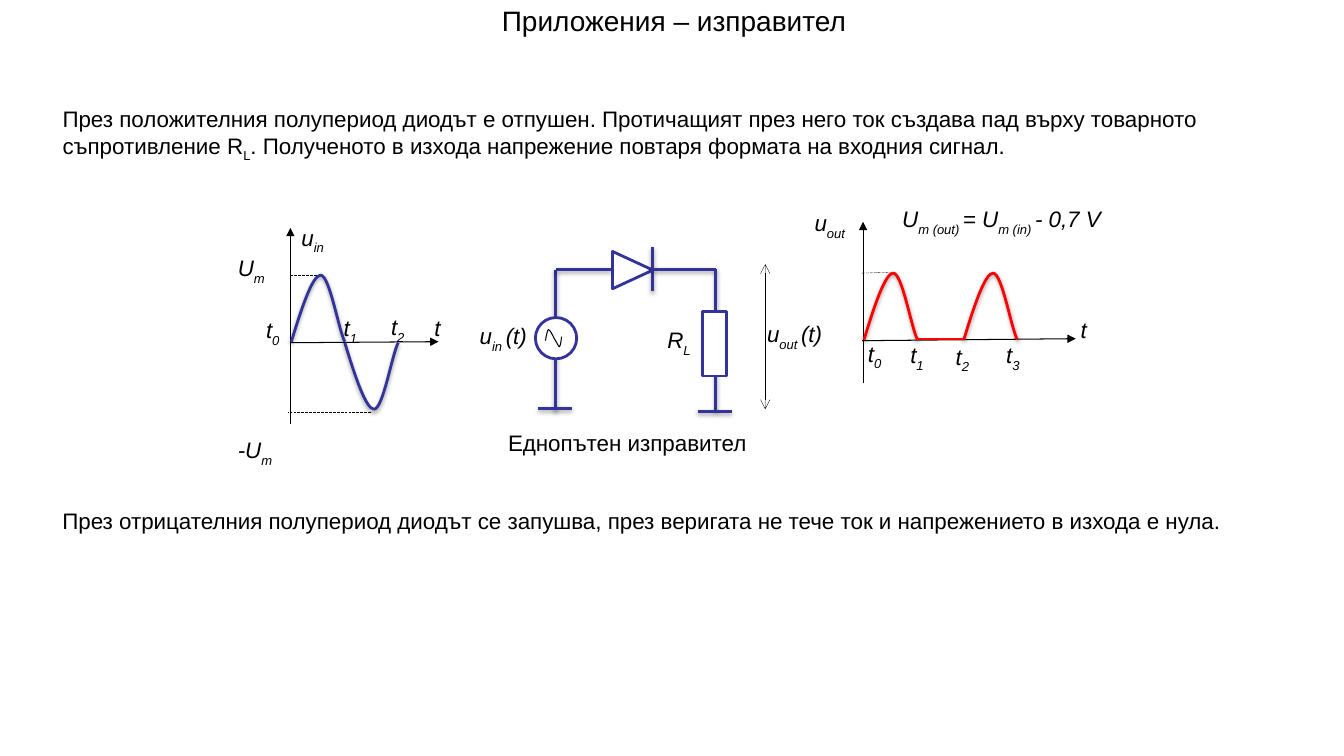
from lxml.etree import SubElement
from pptx import Presentation
from pptx.dml.color import RGBColor
from pptx.enum.dml import MSO_LINE
from pptx.enum.shapes import MSO_CONNECTOR, MSO_SHAPE
from pptx.enum.text import MSO_ANCHOR, MSO_AUTO_SIZE, PP_ALIGN
from pptx.oxml.ns import qn
from pptx.util import Inches, Pt

BLACK, WHITE, BLUE, RED = "000000", "FFFFFF", "333399", "FF0000"

# In every text, the parts between bars alternate: normal|subscript|normal ...
TITLE = "Приложения – изправител"
POSITIVE = ("През положителния полупериод диодът е отпушен. Протичащият през него ток "
            "създава пад върху товарното съпротивление R|L|. Полученото в изхода "
            "напрежение повтаря формата на входния сигнал.")
NEGATIVE = ("През отрицателния полупериод диодът се запушва, през веригата не тече ток "
            "и напрежението в изхода е нула.")
CAPTION = "Еднопътен изправител"

LABELS = [  # text, left, top, width, height
    ("U|m", 2.26, 2.47, 0.65, 0.51),
    ("-U|m", 2.26, 4.28, 0.65, 0.51),
    ("u|in", 2.89, 2.17, 0.72, 0.37),
    ("t", 4.21, 3.07, 0.41, 0.34),
    ("t|0", 2.54, 3.09, 0.65, 0.47),
    ("t|1", 3.31, 3.07, 0.67, 0.46),
    ("t|2", 3.78, 3.06, 0.71, 0.47),
    ("u|in |(t)", 4.66, 3.15, 0.77, 0.48),
    ("R|L", 6.52, 3.19, 0.9, 0.46),
    ("u|out |(t)", 7.51, 3.13, 0.86, 0.49),
    ("u|out", 7.98, 2.03, 0.72, 0.38),
    ("U|m (out) |= U|m (in) |- 0,7 V", 8.85, 1.99, 2.31, 0.38),
    ("t", 10.62, 3.09, 0.41, 0.34),
    ("t|0", 8.51, 3.32, 0.57, 0.42),
    ("t|1", 8.93, 3.34, 0.66, 0.46),
    ("t|2", 9.38, 3.35, 0.61, 0.39),
    ("t|3", 9.88, 3.34, 0.71, 0.4),
]

WIRES = [  # x1, y1, x2, y2
    (6.47, 2.45, 6.47, 2.89),  # diode bar
    (6.48, 2.67, 7.1, 2.67),
    (7.1, 2.67, 7.1, 4.07),
    (5.51, 4.07, 5.51, 2.68),
    (5.51, 2.67, 6.06, 2.67),
    (5.34, 4.05, 5.67, 4.05),  # grounds
    (6.92, 4.08, 7.26, 4.08),
]
AXES = [
    (2.88, 4.21, 2.88, 2.26),
    (2.88, 3.4, 4.35, 3.39),
    (8.56, 3.8, 8.56, 2.2),
    (8.55, 3.38, 10.67, 3.36),
]
PEAK_MARKS = [
    (3.18, 2.73, 2.87, 2.73),
    (3.68, 4.09, 2.86, 4.09),
    (8.85, 2.7, 8.54, 2.71),
]
HALF_WAVES = [  # start x, start y, direction, colour
    (2.89, 3.39, -1, BLUE),
    (3.42, 3.4, 1, BLUE),
    (8.57, 3.37, -1, RED),
    (9.56, 3.37, -1, RED),
]
# Bezier control points, relative to the start of the curve
HALF_WAVE = [(0, 0), (0.1, 0.33), (0.21, 0.66), (0.29, 0.66),
             (0.38, 0.66), (0.47, 0.11), (0.53, 0)]
SOURCE_WAVE = [(0, 0), (0.01, -0.05), (0.02, -0.11), (0.03, -0.11),
               (0.05, -0.11), (0.08, -0.03), (0.1, 0),
               (0.12, 0.03), (0.13, 0.06), (0.14, 0.06),
               (0.15, 0.05), (0.16, -0.02), (0.16, -0.04)]


def color(value):
    return RGBColor.from_string(value)


def place(shape, *box):
    shape.left, shape.top, shape.width, shape.height = map(Inches, box)


def write(shape, text, size=16, italic=False):
    frame = shape.text_frame
    frame.word_wrap = True
    frame.auto_size = MSO_AUTO_SIZE.NONE
    frame.vertical_anchor = MSO_ANCHOR.TOP
    para = frame.paragraphs[0]
    para.space_before = Pt(0)
    font = para.font
    font.name, font.size, font.italic = "Arial", Pt(size), italic
    font.color.rgb = color(BLACK)
    for index, part in enumerate(text.split("|")):
        span = para.add_run()
        span.text = part
        if index % 2:
            span._r.get_or_add_rPr().set("baseline", "-30000")
    return para


def set_effects(shape, shadow):
    """Give the shape a soft shadow below it, or none at all."""
    effects = SubElement(shape._element.spPr, qn("a:effectLst"))
    if shadow:
        outer = SubElement(effects, qn("a:outerShdw"), blurRad=str(Pt(3.1)),
                           dist=str(Pt(1.6)), dir="5400000", rotWithShape="0")
        black = SubElement(outer, qn("a:srgbClr"), val=BLACK)
        SubElement(black, qn("a:alpha"), val="38000")


def draw_line(page, ends, stroke, width, shadow=False, head=None, tail=None, dash=None):
    link = page.shapes.add_connector(MSO_CONNECTOR.STRAIGHT, *map(Inches, ends))
    link.line.color.rgb = color(stroke)
    link.line.width = Pt(width)
    if dash:
        link.line.dash_style = dash
    for tag, kind in (("a:headEnd", head), ("a:tailEnd", tail)):
        if kind:
            SubElement(link.line._get_or_add_ln(), qn(tag), type=kind)
    set_effects(link, shadow)


def draw_part(page, kind, *box):
    part = page.shapes.add_shape(kind, *map(Inches, box))
    part.fill.solid()
    part.fill.fore_color.rgb = color(WHITE)
    part.line.color.rgb = color(BLUE)
    part.line.width = Pt(2)
    part.shadow.inherit = False
    return part


def bend(outline):
    """Turn each three straight segments of a freeform into one Bezier segment."""
    segments = list(outline._element.iter(qn("a:lnTo")))
    for first in range(0, len(segments), 3):
        trio = segments[first:first + 3]
        drawing = trio[0].getparent()
        cubic = SubElement(drawing, qn("a:cubicBezTo"))
        for segment in trio:
            cubic.append(segment[0])
            drawing.remove(segment)


def draw_curve(page, controls, x, y, direction, stroke, width, shadow):
    points = [(Inches(x + dx), Inches(y + direction * dy)) for dx, dy in controls]
    builder = page.shapes.build_freeform(*points[0])
    builder.add_line_segments(points[1:], close=False)
    curve = builder.convert_to_shape()
    bend(curve)
    curve.fill.background()
    curve.line.color.rgb = color(stroke)
    curve.line.width = Pt(width)
    set_effects(curve, shadow)


def main():
    deck = Presentation()
    deck.slide_width, deck.slide_height = Inches(13.33), Inches(7.5)
    page = deck.slides.add_slide(deck.slide_layouts[1])

    title, body = page.placeholders
    place(title, 0.09, -0.02, 13.19, 0.46)
    write(title, TITLE, size=20).alignment = PP_ALIGN.CENTER

    place(body, 0.52, 0.99, 12.28, 0.64)
    properties = write(body, POSITIVE)._p.get_or_add_pPr()
    properties.set("marL", "0")
    properties.set("indent", "0")
    no_bullet = SubElement(properties, qn("a:buNone"))
    properties.find(qn("a:defRPr")).addprevious(no_bullet)

    diode = draw_part(page, MSO_SHAPE.ISOSCELES_TRIANGLE, 6.09, 2.48, 0.37, 0.4)
    diode.rotation = 90
    for wire in WIRES:
        draw_line(page, wire, BLUE, 2, shadow=True)
    draw_part(page, MSO_SHAPE.RECTANGLE, 6.97, 3.09, 0.24, 0.64)
    draw_part(page, MSO_SHAPE.OVAL, 5.31, 3.15, 0.41, 0.41)
    draw_curve(page, SOURCE_WAVE, 5.41, 3.38, 1, BLACK, 0.75, shadow=False)
    draw_line(page, (7.59, 2.62, 7.59, 4.06), BLACK, 0.25, head="arrow", tail="arrow")

    for axis in AXES:
        draw_line(page, axis, BLACK, 0.75, tail="triangle")
    for mark in PEAK_MARKS:
        draw_line(page, mark, BLACK, 0.25, dash=MSO_LINE.LONG_DASH)
    for x, y, direction, stroke in HALF_WAVES:
        draw_curve(page, HALF_WAVE, x, y, direction, stroke, 2, shadow=True)
    draw_line(page, (9.1, 3.36, 9.56, 3.36), RED, 1.5)

    for text, *box in LABELS:
        write(page.shapes.add_textbox(*map(Inches, box)), text, italic=True)
    write(page.shapes.add_textbox(*map(Inches, (0.52, 4.98, 11.97, 0.37))), NEGATIVE)
    write(page.shapes.add_textbox(*map(Inches, (4.94, 4.21, 2.92, 0.37))), CAPTION)

    deck.save("out.pptx")


if __name__ == "__main__":
    main()
